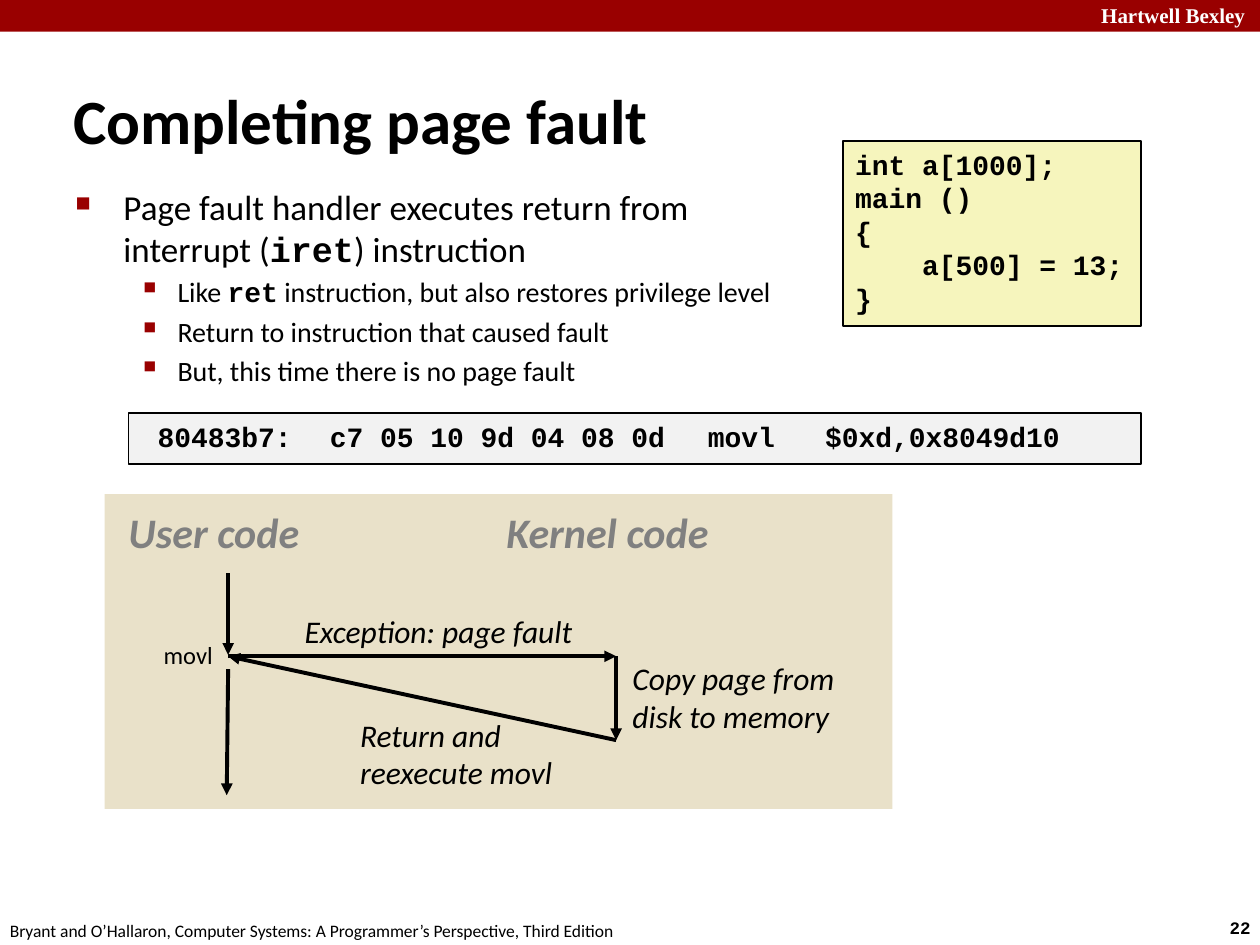
from lxml.etree import SubElement
from pptx import Presentation
from pptx.dml.color import RGBColor as RGB
from pptx.enum.shapes import MSO_CONNECTOR as Connector, MSO_SHAPE as Shape
from pptx.enum.text import MSO_ANCHOR as Anchor, PP_ALIGN as Align
from pptx.oxml.ns import qn
from pptx.util import Cm, Pt

COLORS = {"red": "990000", "white": "FFFFFF", "black": "000000", "gray": "808080",
          "tan": "E9E1C9", "yellow": "F6F5BD", "pale": "F2F2F2"}
MONO = {"name": "Courier New", "bold": True}
CODE = {**MONO, "size": Pt(16)}
HEADING = {"size": Pt(24), "bold": True, "italic": True, "color": "gray"}
LABEL = {"size": Pt(18), "italic": True}


def write(shape, paragraphs, style, wrap=False):
    """Fill a shape with paragraphs, each a list of (text, style changes)."""
    frame = shape.text_frame
    frame.word_wrap = wrap
    for index, spans in enumerate(paragraphs):
        para = frame.paragraphs[0] if index == 0 else frame.add_paragraph()
        para.alignment = Align.LEFT
        for text, changes in spans:
            span = para.add_run()
            span.text = text
            values = {"name": "Calibri", "color": "black", **style, **changes}
            span.font.color.rgb = RGB.from_string(COLORS[values.pop("color")])
            for name, value in values.items():
                setattr(span.font, name, value)
    return frame


def add_rectangle(place, fill, outlined=False):
    box = page.shapes.add_shape(Shape.RECTANGLE, *map(Cm, place))
    box.shadow.inherit = False
    box.fill.solid()
    box.fill.fore_color.rgb = RGB.from_string(COLORS[fill])
    if outlined:
        box.line.color.rgb = RGB.from_string(COLORS["black"])
        box.line.width = Pt(1)
    else:
        box.line.fill.background()
    return box


deck = Presentation()
deck.slide_width, deck.slide_height = Cm(25.4), Cm(19.05)
page = deck.slides.add_slide(deck.slide_layouts[5])

# Header bar and diagram panel
add_rectangle((0, 0, 25.4, 0.64), "red")
add_rectangle((2.11, 9.96, 15.88, 6.35), "tan")

# Title
title = page.shapes.title
title.left, title.top, title.width, title.height = map(Cm, (1.22, 1.63, 21.92, 1.55))
frame = write(title, [[("Completing page fault", {})]], {"size": Pt(36), "bold": True}, True)
frame.vertical_anchor = Anchor.MIDDLE

# Bulleted text: level, spans
bullets = [
    (0, [("Page fault handler executes return from interrupt (", {}), ("iret", MONO),
         (") instruction", {})]),
    (1, [("Like ", {}), ("ret", MONO),
         (" instruction, but also restores privilege level", {})]),
    (1, [("Return to instruction that caused fault", {})]),
    (1, [("But, this time there is no page fault", {})]),
]
# Per level: text size, left margin, hanging indent, bullet, bullet size
levels = [(20, 0.97, 0.97, "■", 60), (16, 2.06, 0.79, "▪", 110)]
body = page.shapes.add_textbox(*map(Cm, (1.27, 3.61, 15.04, 4.95)))
frame = write(body, [spans for level, spans in bullets], {}, True)
for para, (level, spans) in zip(frame.paragraphs, bullets):
    size, margin, hanging, mark, percent = levels[level]
    para.level = level
    para.space_before = Pt(size * 0.2)
    for span in para.runs:
        span.font.size = Pt(size)
    props = para._p.get_or_add_pPr()
    props.set("marL", str(Cm(margin)))
    props.set("indent", str(-Cm(hanging)))
    color = SubElement(props, qn("a:buClr"))
    SubElement(color, qn("a:srgbClr"), val=COLORS["red"])
    SubElement(props, qn("a:buSzPct"), val=str(percent * 1000))
    SubElement(props, qn("a:buChar"), char=mark)

# Source code and machine code
listings = [
    ((16.99, 2.84, 6.02, 3.73), "yellow",
     ["int a[1000];", "main ()", "{", "    a[500] = 13;", "}"]),
    ((2.59, 8.33, 20.42, 1.02), "pale",
     [" 80483b7:\tc7 05 10 9d 04 08 0d \tmovl   $0xd,0x8049d10"]),
]
for place, fill, lines in listings:
    box = add_rectangle(place, fill, outlined=True)
    frame = write(box, [[(line, {})] for line in lines], CODE)
    frame.vertical_anchor = Anchor.TOP

# Control flow arrows: start x, y, end x, y
user_x, kernel_x, fault_y, return_y = 4.6, 12.42, 13.23, 14.92
arrows = [
    (user_x, 11.56, user_x, 13.2),
    (user_x, fault_y, kernel_x, fault_y),
    (kernel_x, fault_y, kernel_x, return_y),
    (kernel_x, return_y, user_x, fault_y),
    (user_x, 13.49, 4.57, 16.03),
]
for ends in arrows:
    arrow = page.shapes.add_connector(Connector.STRAIGHT, *map(Cm, ends))
    arrow.line.color.rgb = RGB.from_string(COLORS["black"])
    arrow.line.width = Pt(2.25)
    SubElement(arrow.line._get_or_add_ln(), qn("a:tailEnd"), type="triangle")
    SubElement(arrow._element.spPr, qn("a:effectLst"))

# Diagram labels, header and footer: place, text, style, wrap
texts = [
    ((2.34, 10.08, 4.19, 1.27), "User code", HEADING, False),
    ((9.96, 10.08, 4.85, 1.27), "Kernel code", HEADING, False),
    ((5.89, 12.22, 6.15, 1.02), "Exception: page fault", LABEL, False),
    ((12.5, 13.16, 5.49, 1.78), "Copy page from disk to memory", LABEL, True),
    ((7.01, 14.3, 5.05, 1.78), "Return and reexecute movl", LABEL, True),
    ((3.05, 12.78, 1.52, 0.86), "movl", {"size": Pt(14)}, False),
    ((21.95, -0.08, 3.63, 0.76), "Hartwell Bexley",
     {"name": "Times New Roman", "size": Pt(12), "bold": True, "color": "white"}, True),
    ((24.54, 18.36, 1.14, 0.69), "22", {**MONO, "size": Pt(10)}, False),
    ((-0.05, 18.42, 12.9, 0.69),
     "Bryant and O’Hallaron, Computer Systems: A Programmer’s Perspective, Third Edition",
     {"size": Pt(10)}, False),
]
for place, text, style, wrap in texts:
    box = page.shapes.add_textbox(*map(Cm, place))
    write(box, [[(text, {})]], style, wrap)

deck.save("out.pptx")
